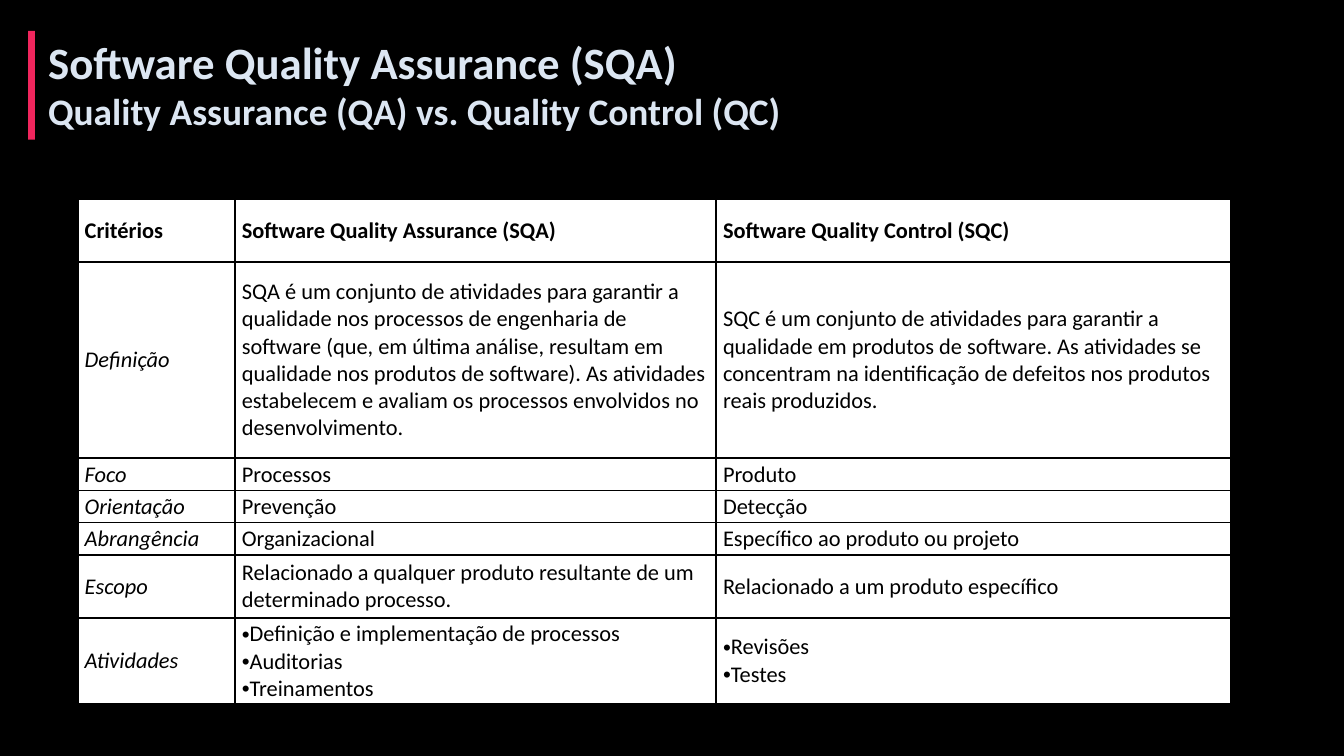
from pptx import Presentation
from pptx.dml.color import RGBColor
from pptx.enum.shapes import MSO_SHAPE
from pptx.enum.text import MSO_ANCHOR, MSO_AUTO_SIZE
from pptx.oxml.ns import qn
from pptx.util import Inches, Pt
from lxml.etree import SubElement

BLACK = RGBColor(0x00, 0x00, 0x00)
WHITE = RGBColor(0xFF, 0xFF, 0xFF)
PALE_BLUE = RGBColor(0xDC, 0xE6, 0xF2)
PINK = RGBColor(0xF0, 0x26, 0x5D)
FONT = "Calibri"

COLUMN_WIDTHS = [1.17, 3.58, 3.83]
ROW_HEIGHTS = [0.47, 1.46, 0.19, 0.19, 0.19, 0.47, 0.61]
# A list in a cell becomes bullets
CRITERIA = [
    ("Critérios", "Software Quality Assurance (SQA)", "Software Quality Control (SQC)"),
    ("Definição",
     "SQA é um conjunto de atividades para garantir a qualidade nos processos de "
     "engenharia de software (que, em última análise, resultam em qualidade nos "
     "produtos de software). As atividades estabelecem e avaliam os processos "
     "envolvidos no desenvolvimento.",
     "SQC é um conjunto de atividades para garantir a qualidade em produtos de "
     "software. As atividades se concentram na identificação de defeitos nos "
     "produtos reais produzidos."),
    ("Foco", "Processos", "Produto"),
    ("Orientação", "Prevenção", "Detecção"),
    ("Abrangência", "Organizacional", "Específico ao produto ou projeto"),
    ("Escopo",
     "Relacionado a qualquer produto resultante de um determinado processo.",
     "Relacionado a um produto específico"),
    ("Atividades",
     ["Definição e implementação de processos", "Auditorias", "Treinamentos"],
     ["Revisões", "Testes"]),
]


def set_font(paragraph, size, color, bold=False, italic=False):
    font = paragraph.font
    font.name, font.size = FONT, Pt(size)
    font.bold, font.italic = bold, italic
    font.color.rgb = color


def add_borders(cell):
    properties = cell._tc.get_or_add_tcPr()
    for side in ("a:lnL", "a:lnR", "a:lnT", "a:lnB"):
        line = SubElement(properties, qn(side), w=str(Pt(1)))
        fill = SubElement(line, qn("a:solidFill"))
        SubElement(fill, qn("a:srgbClr"), val=str(BLACK))


# Widescreen 16:9 slide
prs = Presentation()
prs.slide_width = Inches(10)
prs.slide_height = Inches(10 * 9 / 16)
slide = prs.slides.add_slide(prs.slide_layouts[6])
slide.background.fill.solid()
slide.background.fill.fore_color.rgb = BLACK

# Title and subtitle
heading = slide.shapes.add_textbox(
    Inches(0.26), Inches(0.21), Inches(5.7), Inches(0.84)).text_frame
heading.word_wrap = False
heading.auto_size = MSO_AUTO_SIZE.SHAPE_TO_FIT_TEXT
heading.text = "Software Quality Assurance (SQA)\nQuality Assurance (QA) vs. Quality Control (QC)"
for paragraph, size in zip(heading.paragraphs, (24, 20)):
    set_font(paragraph, size, PALE_BLUE, bold=True)

# Accent bar
accent = slide.shapes.add_shape(
    MSO_SHAPE.RECTANGLE, Inches(0.21), Inches(0.23), Inches(0.05), Inches(0.81))
accent.shadow.inherit = False
accent.fill.solid()
accent.fill.fore_color.rgb = PINK
accent.line.fill.background()

# Comparison table
comparison = slide.shapes.add_table(
    len(ROW_HEIGHTS), len(COLUMN_WIDTHS),
    Inches(0.58), Inches(1.48), Inches(8.58), Inches(3.78)).table
comparison.first_row = False
comparison.horz_banding = False
for column, width in zip(comparison.columns, COLUMN_WIDTHS):
    column.width = Inches(width)
for row, height in zip(comparison.rows, ROW_HEIGHTS):
    row.height = Inches(height)

for r, criterion in enumerate(CRITERIA):
    for c, content in enumerate(criterion):
        cell = comparison.cell(r, c)
        add_borders(cell)
        cell.fill.solid()
        cell.fill.fore_color.rgb = WHITE
        cell.vertical_anchor = MSO_ANCHOR.MIDDLE
        cell.margin_left = cell.margin_right = Inches(0.05)
        cell.margin_top = cell.margin_bottom = Inches(0.02)
        bulleted = isinstance(content, list)
        cell.text = "\n".join(content) if bulleted else content
        for paragraph in cell.text_frame.paragraphs:
            if bulleted:
                bullet = paragraph._p.get_or_add_pPr()
                bullet.set("marL", "0")
                bullet.set("indent", "0")
                SubElement(bullet, qn("a:buFont"), typeface="Arial")
                SubElement(bullet, qn("a:buChar"), char="•")
            set_font(paragraph, 12, BLACK, bold=r == 0, italic=r > 0 and c == 0)

prs.save("out.pptx")
